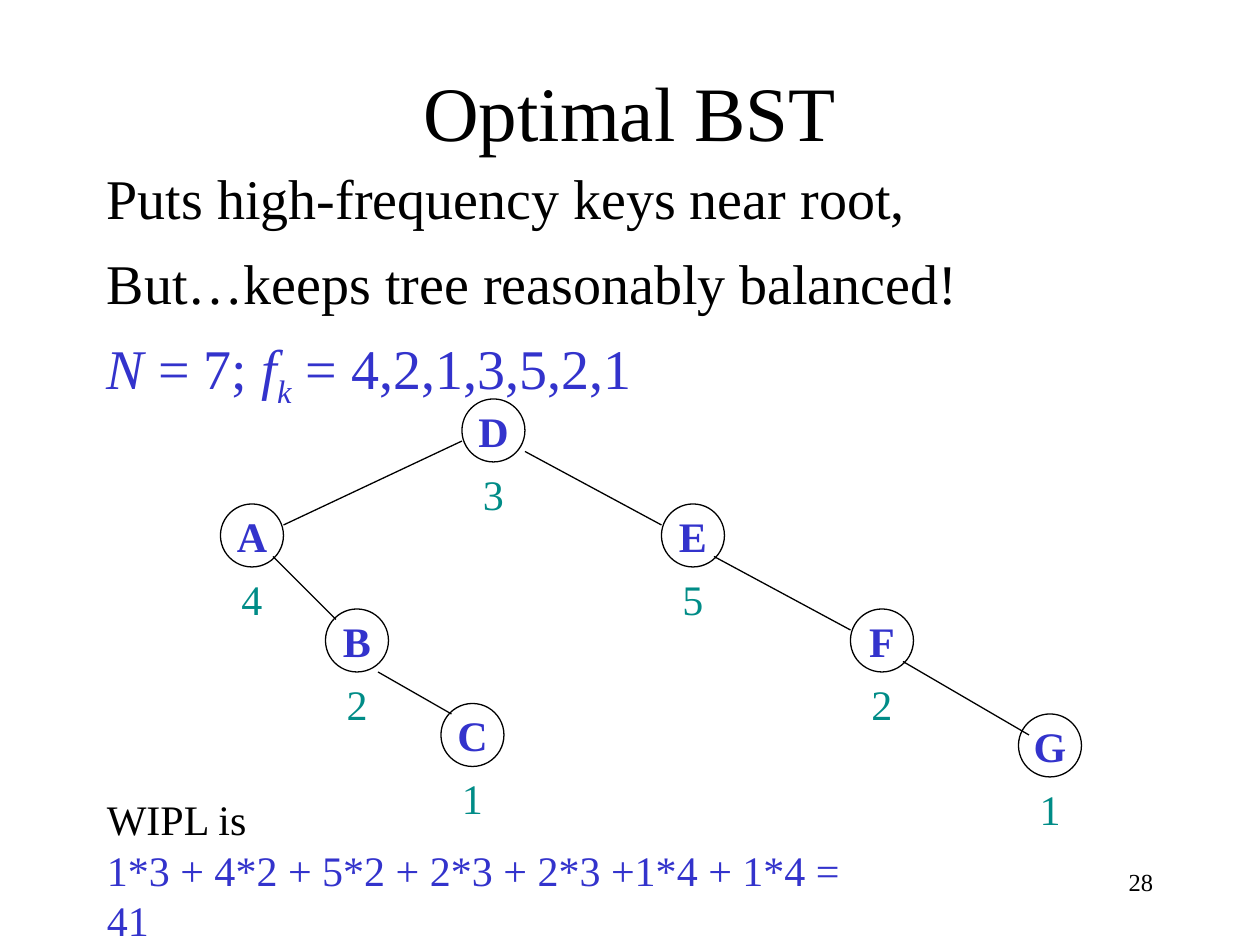
import pptx
import pptx.util
import pptx.dml.color
import pptx.enum.shapes
import pptx.enum.text
import lxml.etree

COLORS = {"ink": "000000", "key": "3333CC", "frequency": "008C87"}
FONT = "Times New Roman"
TITLE = "Optimal BST"
POINTS = [
    [("Puts high-frequency keys near root,", "ink", False, 0)],
    [("But…keeps tree reasonably balanced!", "ink", False, 0)],
    [("N", "key", True, 0), (" = 7; ", "key", False, 0), ("f", "key", True, 0),
     ("k", "key", True, -25000), (" = 4,2,1,3,5,2,1", "key", False, 0)],
]
COST = [("WIPL is", "ink"), ("1*3 + 4*2 + 5*2 + 2*3 + 2*3 +1*4 + 1*4 = 41", "key")]
PAGE = "28"

UNITS_PER_INCH = 12
NODE_SIZE = 6
NODES = [
    ("D", "3", 44, 38), ("E", "5", 63, 48), ("F", "2", 81, 58), ("G", "1", 97, 68),
    ("A", "4", 21, 48), ("B", "2", 31, 58), ("C", "1", 42, 67),
]
EDGES = [
    (50, 43, 63, 50), (68, 53, 81, 60), (86, 63, 98, 70),
    (44, 42, 27, 50), (26, 53, 32, 59), (36, 64, 43, 68),
]

ALIGN = pptx.enum.text.PP_ALIGN
ANCHOR = pptx.enum.text.MSO_ANCHOR


def color(name):
    return pptx.dml.color.RGBColor.from_string(COLORS[name])


def grid(*units):
    return [pptx.util.Inches(unit / UNITS_PER_INCH) for unit in units]


def style(run, size, color_name, bold=False, italic=False):
    font = run.font
    font.name = FONT
    font.size = pptx.util.Pt(size)
    font.bold = bold
    font.italic = italic
    font.color.rgb = color(color_name)


def write(frame, lines, size, align, bold=False):
    frame.text = "\n".join(text for text, _ in lines)
    for paragraph, (_, color_name) in zip(frame.paragraphs, lines):
        paragraph.alignment = align
        style(paragraph.runs[0], size, color_name, bold)


def add_label(slide, box, lines, size, align, wrap=False):
    frame = slide.shapes.add_textbox(*box).text_frame
    frame.word_wrap = wrap
    write(frame, lines, size, align)


def outline(shape):
    shape.line.color.rgb = color("ink")
    shape.line.width = pptx.util.Pt(0.75)


def add_node(slide, key, frequency, left, top):
    node = slide.shapes.add_shape(
        pptx.enum.shapes.MSO_SHAPE.OVAL, *grid(left, top, NODE_SIZE, NODE_SIZE))
    node.shadow.inherit = False
    node.fill.background()
    outline(node)
    node.text_frame.word_wrap = False
    node.text_frame.vertical_anchor = ANCHOR.MIDDLE
    write(node.text_frame, [(key, "key")], 24, ALIGN.CENTER, bold=True)
    add_label(slide, grid(left, top + NODE_SIZE, NODE_SIZE, NODE_SIZE),
              [(frequency, "frequency")], 24, ALIGN.CENTER)


def add_edge(slide, ends):
    edge = slide.shapes.add_connector(
        pptx.enum.shapes.MSO_CONNECTOR.STRAIGHT, *grid(*ends))
    outline(edge)
    lxml.etree.SubElement(edge._element.spPr, pptx.oxml.ns.qn("a:effectLst"))


def add_title(slide):
    title = slide.shapes.title
    title.left, title.top, title.width, title.height = grid(9, 3, 102, 15)
    title.text_frame.vertical_anchor = ANCHOR.MIDDLE
    write(title.text_frame, [(TITLE, "ink")], 44, ALIGN.CENTER)


def add_points(slide):
    frame = slide.shapes.add_textbox(*grid(9, 15, 102, 60)).text_frame
    frame.word_wrap = True
    for index, point in enumerate(POINTS):
        paragraph = frame.add_paragraph() if index else frame.paragraphs[0]
        if index:
            paragraph.space_before = pptx.util.Pt(10)
        for text, color_name, italic, baseline in point:
            run = paragraph.add_run()
            run.text = text
            style(run, 32, color_name, italic=italic)
            if baseline:
                run.font._element.set("baseline", str(baseline))


def main():
    deck = pptx.Presentation()
    deck.slide_width, deck.slide_height = grid(120, 90)
    slide = deck.slides.add_slide(deck.slide_layouts[5])
    add_title(slide)
    add_points(slide)
    for node in NODES:
        add_node(slide, *node)
    for ends in EDGES:
        add_edge(slide, ends)
    add_label(slide, grid(9, 75, 77, 11), COST, 24, ALIGN.LEFT)
    add_label(slide, grid(86, 82, 25, 6), [(PAGE, "ink")], 14, ALIGN.RIGHT, wrap=True)
    deck.save("out.pptx")


if __name__ == "__main__":
    main()
